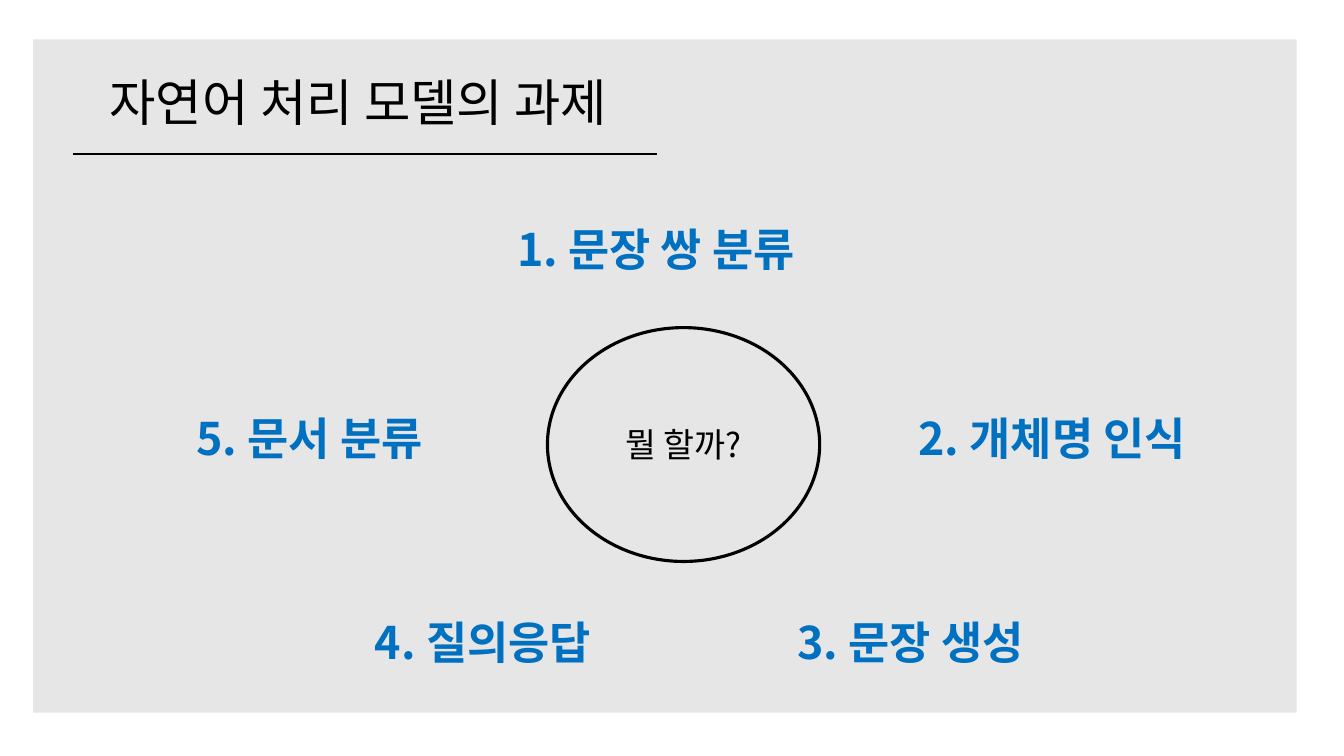
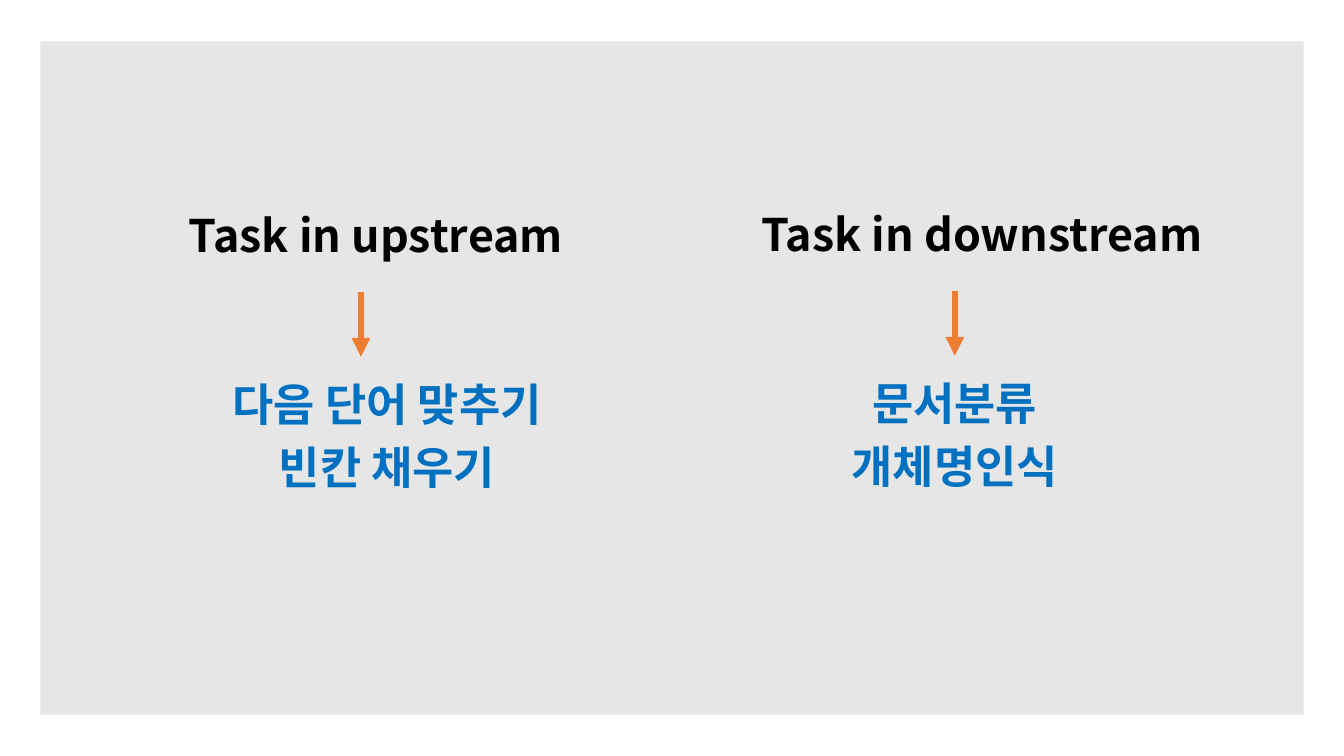
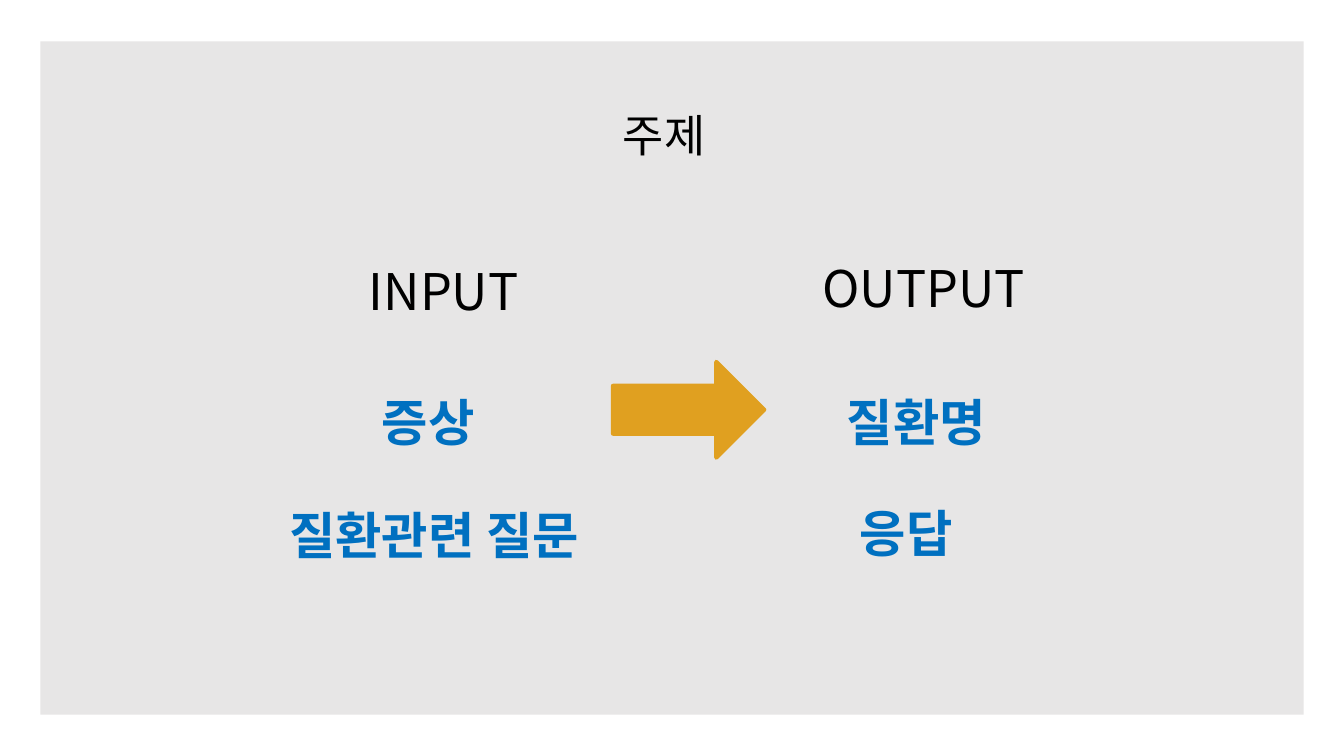
from lxml import etree
from pptx import Presentation
from pptx import util as u
from pptx.dml.color import RGBColor
from pptx.enum import shapes, text
from pptx.oxml import ns

FONT = "Noto Sans CJK KR"
COLORS = {
    "panel": "E7E6E6",
    "ink": "000000",
    "accent": "0070C0",
    "stream": "ED7D31",
    "flow": "E0A020",
}
LEFT, CENTER = text.PP_ALIGN.LEFT, text.PP_ALIGN.CENTER
TOP, MIDDLE, BOTTOM = (
    text.MSO_ANCHOR.TOP, text.MSO_ANCHOR.MIDDLE, text.MSO_ANCHOR.BOTTOM)
BODY = {"alignment": CENTER, "line_spacing": 0.9, "space_before": u.Pt(10)}


def rgb(name):
    return RGBColor.from_string(COLORS[name])


def apply(target, values):
    for name, value in values.items():
        setattr(target, name, value)


def write(sp, lines, size, color="ink", bold=False, anchor=TOP, para=None):
    tf = sp.text_frame
    apply(tf, {"word_wrap": True, "vertical_anchor": anchor})
    for i, line in enumerate(lines):
        p = tf.add_paragraph() if i else tf.paragraphs[0]
        apply(p, para or {"alignment": LEFT})
        r = p.add_run()
        r.text = line
        apply(r.font, {"name": FONT, "size": u.Pt(size), "bold": bold})
        r.font.color.rgb = rgb(color)
        ea = etree.SubElement(r.font._element, ns.qn("a:ea"))
        ea.set("typeface", FONT)


def add_text(s, box, lines, size, **style):
    sp = s.shapes.add_textbox(*map(u.Inches, box))
    write(sp, lines, size, **style)


def add_shape(s, kind, box, fill=None, line=None, width=1):
    sp = s.shapes.add_shape(kind, *map(u.Inches, box))
    sp.shadow.inherit = False
    if fill:
        sp.fill.solid()
        sp.fill.fore_color.rgb = rgb(fill)
    else:
        sp.fill.background()
    if line:
        sp.line.color.rgb = rgb(line)
        sp.line.width = u.Pt(width)
    else:
        sp.line.fill.background()
    return sp


def add_line(s, start, end, color, width, arrow=False):
    sp = s.shapes.add_connector(
        shapes.MSO_CONNECTOR.STRAIGHT, *map(u.Inches, start + end))
    sp.line.color.rgb = rgb(color)
    sp.line.width = u.Pt(width)
    if arrow:
        ln = sp.line._get_or_add_ln()
        etree.SubElement(ln, ns.qn("a:tailEnd")).set("type", "triangle")
    etree.SubElement(sp._element.spPr, ns.qn("a:effectLst"))


def new_slide(prs, left=0.4, top=0.41):
    s = prs.slides.add_slide(prs.slide_layouts[6])
    add_shape(s, shapes.MSO_SHAPE.RECTANGLE, (left, top, 12.53, 6.68), "panel")
    return s


def title_region(s, box, title):
    x, y, w, h = box
    add_text(s, box, [title], 36, anchor=BOTTOM,
             para={"alignment": CENTER, "line_spacing": 0.9})
    add_line(s, (x + 0.13, y + 0.72), (x + w, y + 0.72), "ink", 1.5)


def task_ring(s, box, question, tasks):
    x, y = box[:2]
    for label, dx, dy, w in tasks:
        add_text(s, (x + dx, y + dy, w, 0.64), [label], 32,
                 color="accent", bold=True)
    sp = add_shape(s, shapes.MSO_SHAPE.OVAL, box, line="ink", width=2.25)
    write(sp, [question], 24, anchor=MIDDLE, para={"alignment": CENTER})


def stream_column(s, box, heading, arrow_dx, items_dx, items_w, items):
    x, y, w, h = box
    add_text(s, box, [heading], 32, bold=True, para=BODY)
    add_line(s, (x + arrow_dx, y + 0.83), (x + arrow_dx, y + 1.47),
             "stream", 4.5, arrow=True)
    add_text(s, (x + items_dx, y + 1.68, items_w, 1.18), items, 32,
             color="accent", bold=True, para=BODY)


def flow_column(s, box, heading, items):
    x, y, w, h = box
    add_text(s, box, [heading], 36)
    for label, dx, dy, item_w in items:
        add_text(s, (x + dx, y + dy, item_w, h), [label], 36,
                 color="accent", bold=True)


def tasks_slide(prs):
    s = new_slide(prs, 0.33, 0.39)
    title_region(s, (0.59, 0.81, 5.93, 0.55), "자연어 처리 모델의 과제")
    task_ring(s, (5.43, 3.25, 2.7, 2.32), "뭘 할까?", [
        ("1. 문장 쌍 분류", -0.4, -1.1, 3.5),
        ("2. 개체명 인식", 3.58, 0.78, 3.18),
        ("3. 문장 생성", 2.38, 2.8, 3.18),
        ("4. 질의응답", -1.81, 2.8, 2.51),
        ("5. 문서 분류", -3.58, 0.78, 3.18),
    ])


def streams_slide(prs):
    s = new_slide(prs)
    stream_column(s, (1.73, 2.07, 4, 0.62), "Task in upstream",
                  1.85, 0.22, 3.78, ["다음 단어 맞추기", "빈칸 채우기"])
    stream_column(s, (7.28, 2.06, 4.92, 0.62), "Task in downstream",
                  2.19, 0.53, 3.32, ["문서분류", "개체명인식"])


def topic_slide(prs):
    s = new_slide(prs)
    add_text(s, (6.08, 1.02, 1.5, 0.64), ["주제"], 32)
    flow_column(s, (3.56, 2.53, 2.05, 0.71), "INPUT", [
        ("증상", 0.13, 1.3, 2.05),
        ("질환관련 질문", -0.79, 2.42, 3.46),
    ])
    add_shape(s, shapes.MSO_SHAPE.RIGHT_ARROW, (6.08, 3.59, 1.5, 0.95),
              "flow", "flow", 3)
    flow_column(s, (8.06, 2.5, 2.29, 0.71), "OUTPUT", [
        ("질환명", 0.24, 1.33, 2.05),
        ("응답", 0.37, 2.43, 1.65),
    ])


def main():
    prs = Presentation()
    apply(prs, {"slide_width": u.Inches(13.33), "slide_height": u.Inches(7.5)})
    for build in (tasks_slide, streams_slide, topic_slide):
        build(prs)
    prs.save("out.pptx")


if __name__ == "__main__":
    main()
